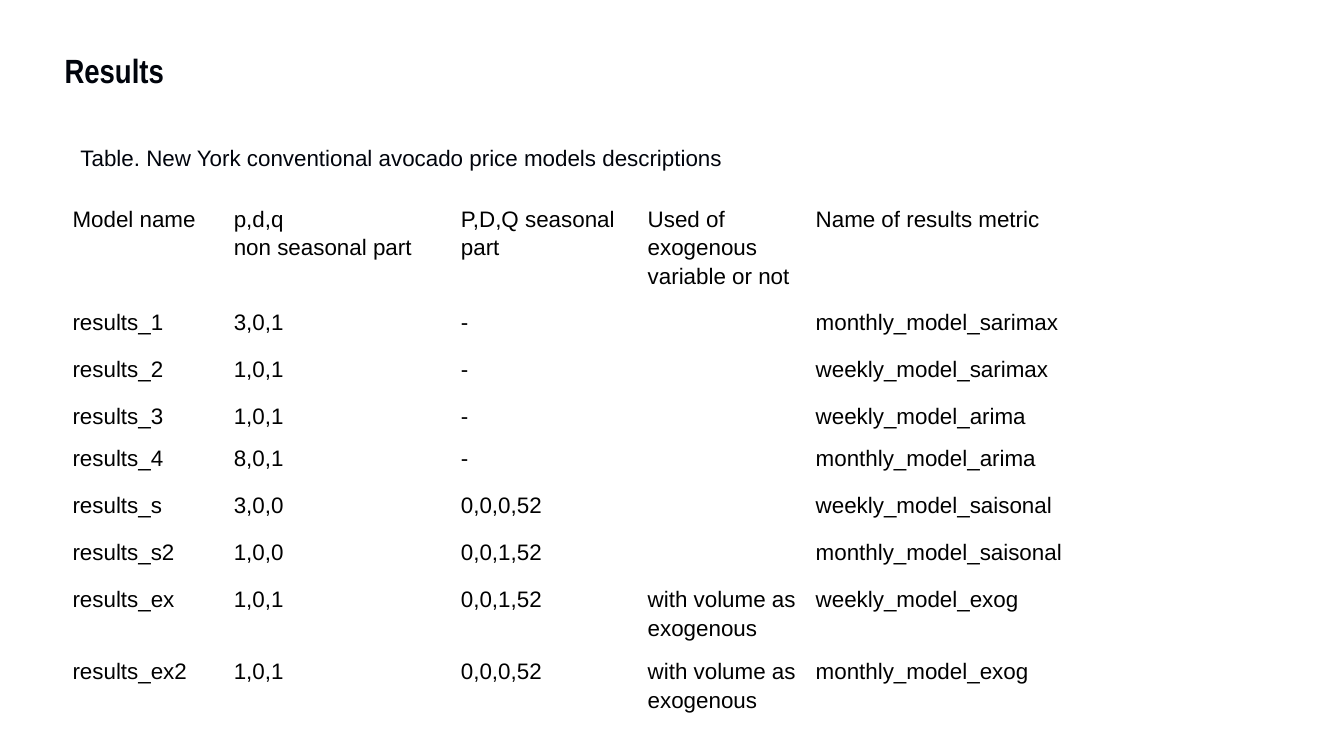
from lxml import etree
from pptx import Presentation
from pptx.dml.color import RGBColor
from pptx.enum import text
from pptx.oxml import ns
from pptx.util import Inches, Pt

COLORS = {"ink": "00040C", "cell": "000000"}
HEADING = "Results"
CAPTION = "Table. New York conventional avocado price models descriptions"
VOLUME = "with volume as exogenous"
MODELS = [
    ("Model name", "p,d,q\nnon seasonal part", "P,D,Q seasonal part",
     "Used of exogenous variable or not", "Name of results metric"),
    ("results_1", "3,0,1", "-", "", "monthly_model_sarimax"),
    ("results_2", "1,0,1", "-", "", "weekly_model_sarimax"),
    ("results_3", "1,0,1", "-", "", "weekly_model_arima"),
    ("results_4", "8,0,1", "-", "", "monthly_model_arima"),
    ("results_s", "3,0,0", "0,0,0,52", "", "weekly_model_saisonal"),
    ("results_s2", "1,0,0", "0,0,1,52", "", "monthly_model_saisonal"),
    ("results_ex", "1,0,1", "0,0,1,52", VOLUME, "weekly_model_exog"),
    ("results_ex2", "1,0,1", "0,0,0,52", VOLUME, "monthly_model_exog"),
]
WIDTHS = [1.2, 1.69, 1.39, 1.25, 2.18]
HEIGHTS = [0.64, 0.35, 0.35, 0.21, 0.35, 0.35, 0.35, 0.5, 0.5]
INSET = Inches(0.04)


def write(paragraph, words, size, font, color, bold=False):
    """Add one formatted run to a paragraph."""
    run = paragraph.add_run()
    run.text = words
    run.font.size, run.font.name, run.font.bold = Pt(size), font, bold
    run.font.color.rgb = RGBColor.from_string(COLORS[color])


def fill_cell(cell, words):
    """Write a cell's lines on a clear background with narrow margins."""
    cell.fill.background()
    cell.margin_left = cell.margin_right = INSET
    cell.margin_top = cell.margin_bottom = INSET
    frame = cell.text_frame
    for number, line in enumerate(words.split("\n")):
        paragraph = frame.add_paragraph() if number else frame.paragraphs[0]
        paragraph.line_spacing = 1.15
        if line:
            write(paragraph, line, 12, "Arial", "cell")
        else:
            etree.SubElement(paragraph._p, ns.qn("a:endParaRPr"), sz="1200")


def place(shape, left, top, width, height):
    """Set a shape's position and size in inches."""
    shape.left, shape.top = Inches(left), Inches(top)
    shape.width, shape.height = Inches(width), Inches(height)


def main():
    """Build the results slide."""
    deck = Presentation()
    deck.slide_width = Inches(10)
    deck.slide_height = deck.slide_width * 9 // 16
    slide = deck.slides.add_slide(deck.slide_layouts[5])

    holder = slide.shapes.add_table(
        len(MODELS), len(WIDTHS), Inches(0.5), Inches(1.47),
        Inches(7.7), Inches(3.87))
    models = holder.table
    models.first_row = models.horz_banding = False
    for column, width in zip(models.columns, WIDTHS):
        column.width = Inches(width)
    for row, height, entries in zip(models.rows, HEIGHTS, MODELS):
        row.height = Inches(height)
        for cell, words in zip(row.cells, entries):
            fill_cell(cell, words)
    place(holder, 0.5, 1.47, 7.7, 3.87)

    caption = slide.shapes.add_textbox(
        Inches(0.5), Inches(1.02), Inches(5.12), Inches(0.3)).text_frame
    caption.word_wrap = True
    caption.auto_size = text.MSO_AUTO_SIZE.SHAPE_TO_FIT_TEXT
    caption.vertical_anchor = text.MSO_ANCHOR.MIDDLE
    write(caption.paragraphs[0], CAPTION, 12, "Arial", "ink")

    heading = slide.shapes.title
    place(heading, 0.38, 0.28, 2.56, 0.42)
    frame = heading.text_frame
    frame.word_wrap = True
    frame.auto_size = text.MSO_AUTO_SIZE.SHAPE_TO_FIT_TEXT
    frame.vertical_anchor = text.MSO_ANCHOR.TOP
    line = frame.paragraphs[0]
    line.alignment = text.PP_ALIGN.LEFT
    line.line_spacing = 1.15
    line.space_before, line.space_after = Pt(20), Pt(6)
    write(line, HEADING, 18, "Arial Narrow", "ink", bold=True)

    deck.save("out.pptx")


if __name__ == "__main__":
    main()
